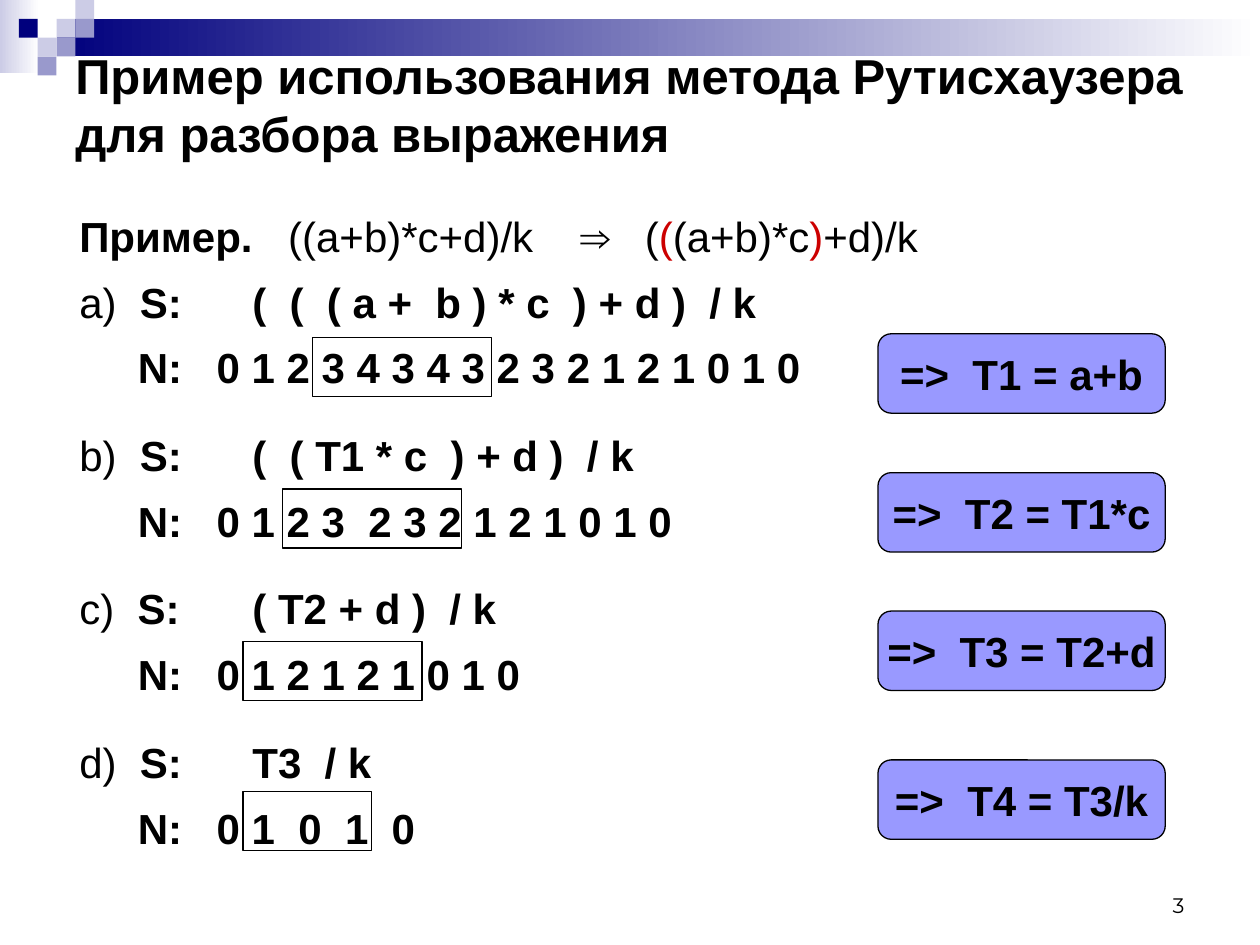
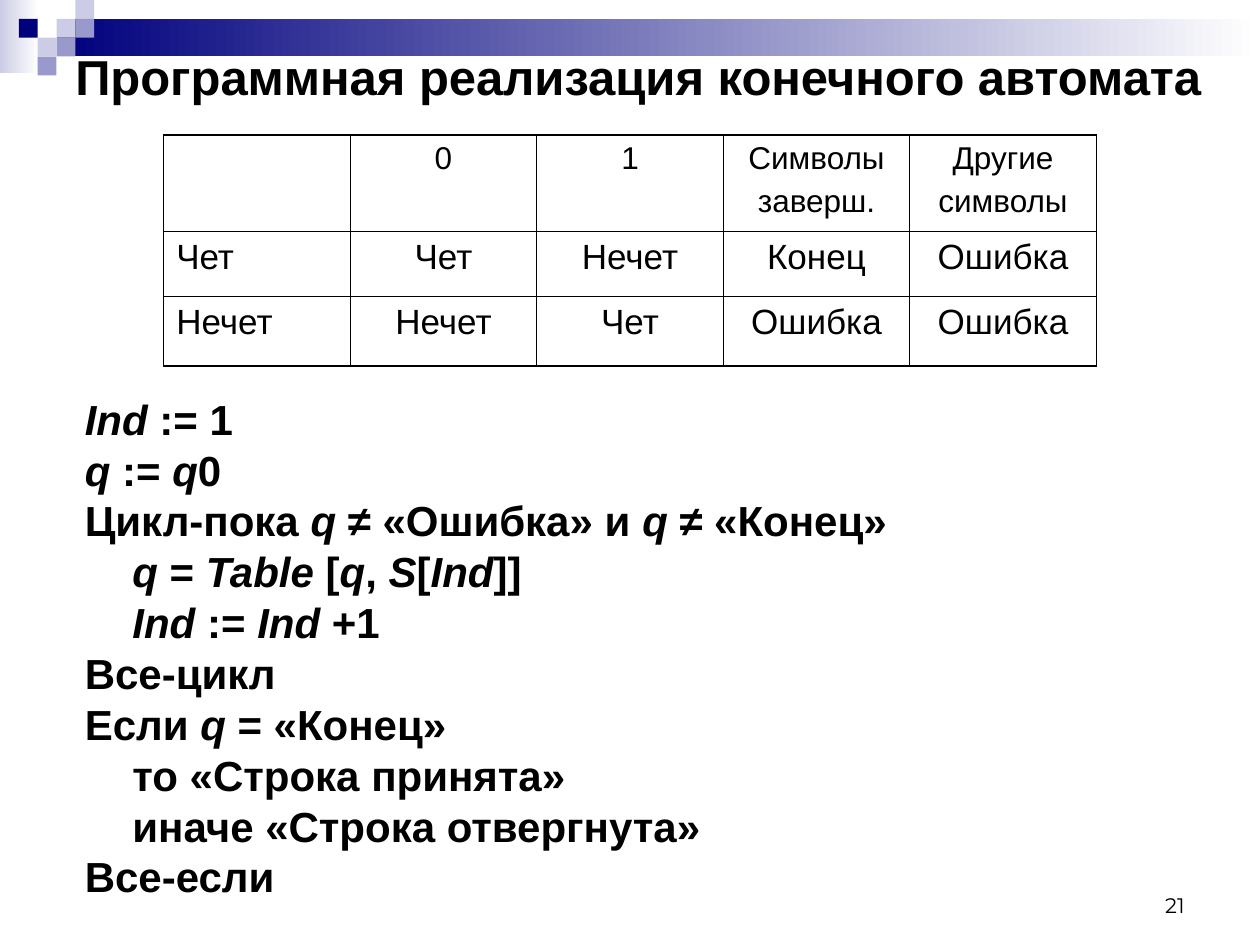
from lxml.etree import SubElement
from pptx import Presentation
from pptx.dml.color import RGBColor
from pptx.enum.shapes import MSO_SHAPE
from pptx.enum.text import MSO_ANCHOR, PP_ALIGN
from pptx.oxml.ns import qn
from pptx.util import Cm, Pt

BLACK = RGBColor(0x00, 0x00, 0x00)
WHITE = RGBColor(0xFF, 0xFF, 0xFF)
RED = RGBColor(0xCC, 0x00, 0x00)
NAVY = RGBColor(0x00, 0x00, 0x7D)
LAVENDER = RGBColor(0xCC, 0xCC, 0xE6)
VIOLET = RGBColor(0x99, 0x99, 0xCC)
CALLOUT = RGBColor(0x99, 0x99, 0xFF)

MOSAIC_STEP = 0.38
MOSAIC = [(3, 1, LAVENDER), (4, 0, LAVENDER), (4, 1, VIOLET), (2, 2, LAVENDER),
          (1, 1, NAVY), (3, 2, VIOLET), (2, 3, VIOLET)]  # column, row, colour

EXAMPLE_TABS = (4.21, 10.1, 11.4)
SYMBOLS_LEFT = 3.49
LEVELS_LABEL_LEFT, LEVELS_LEFT = 1.18, 2.77

# label, symbols, nesting levels, (left, top, width) of the frame, callout top, result
STEPS = [
    ("a)", "(  (  ( a +  b ) * c  ) + d )  / k", "0 1 2 3 4 3 4 3 2 3 2 1 2 1 0 1 0",
     (6.3, 6.81, 3.61), 6.73, "T1 = a+b"),
    ("b)", "(  ( T1 * c  ) + d )  / k", "0 1 2 3  2 3 2 1 2 1 0 1 0",
     (5.69, 9.86, 3.61), 9.53, "T2 = T1*c"),
    ("c)", "( T2 + d )  / k", "0 1 2 1 2 1 0 1 0",
     (4.9, 12.93, 3.61), 12.32, "T3 = T2+d"),
    ("d)", "T3  / k", "0 1  0  1  0",
     (4.9, 15.95, 2.59), 15.32, "T4 = T3/k"),
]

TRANSITIONS = [
    ["", "0", "1", "Символы\nзаверш.", "Другие\nсимволы"],
    ["Чет", "Чет", "Нечет", "Конец", "Ошибка"],
    ["Нечет", "Нечет", "Чет", "Ошибка", "Ошибка"],
]

# indent level, text with the italic parts between underscores
ALGORITHM = [
    (0, "_Ind_ := 1"),
    (0, "_q_ := _q_0"),
    (0, "Цикл-пока _q _≠ «Ошибка» и _q _≠ «Конец»"),
    (1, "_q_ = _Table_ [_q_, _S_[_Ind_]]"),
    (1, "_Ind_ := _Ind_ +1"),
    (0, "Все-цикл"),
    (0, "Если _q_ = «Конец»"),
    (1, "то «Строка принята»"),
    (1, "иначе «Строка отвергнута»"),
    (0, "Все-если"),
]


class Deck:
    """Holds the shared style and the slide being filled."""

    def __init__(self):
        self.presentation = Presentation()
        self.presentation.slide_width = Cm(25.4)
        self.presentation.slide_height = Cm(19.05)
        self.slide = None

    def new_slide(self, title, title_box, number):
        self.slide = self.presentation.slides.add_slide(self.presentation.slide_layouts[6])
        self.gradient(0, 0, 0.79, 1.47, LAVENDER)
        self.gradient(3 * MOSAIC_STEP, MOSAIC_STEP, 24.26, 2 * MOSAIC_STEP, NAVY)
        for column, row, color in MOSAIC:
            self.shape(column * MOSAIC_STEP, row * MOSAIC_STEP, MOSAIC_STEP, MOSAIC_STEP, color)

        footer = self.text_frame(18.21, 17.35, 5.92, 1.27, MSO_ANCHOR.BOTTOM)
        self.run(self.paragraph(footer, align=PP_ALIGN.RIGHT), number, size=12, bold=False,
                 font="Montserrat")
        heading = self.text_frame(*title_box, MSO_ANCHOR.MIDDLE)
        self.run(self.paragraph(heading), title, size=28)

    def shape(self, left, top, width, height, fill=None, line=None, kind=MSO_SHAPE.RECTANGLE):
        shape = self.slide.shapes.add_shape(kind, Cm(left), Cm(top), Cm(width), Cm(height))
        shape.shadow.inherit = False
        if fill is None:
            shape.fill.background()
        else:
            shape.fill.solid()
            shape.fill.fore_color.rgb = fill
        if line is None:
            shape.line.fill.background()
        else:
            shape.line.color.rgb = line
            shape.line.width = Pt(0.75)
        return shape

    def gradient(self, left, top, width, height, start):
        fill = self.shape(left, top, width, height).fill
        fill.gradient()
        fill.gradient_angle = 0
        for stop, color in zip(fill.gradient_stops, (start, WHITE)):
            stop.color.rgb = color

    def callout(self, left, top, text):
        box = self.shape(left, top, 5.79, 1.6, CALLOUT, BLACK, MSO_SHAPE.ROUNDED_RECTANGLE)
        frame = box.text_frame
        frame.word_wrap = False
        frame.vertical_anchor = MSO_ANCHOR.MIDDLE
        self.run(self.paragraph(frame, before=6, align=PP_ALIGN.CENTER), text)

    def text_frame(self, left, top, width, height, anchor=MSO_ANCHOR.TOP):
        frame = self.slide.shapes.add_textbox(Cm(left), Cm(top), Cm(width), Cm(height)).text_frame
        frame.word_wrap = True
        frame.vertical_anchor = anchor
        return frame

    def paragraph(self, frame, before=0, spacing=1.0, align=PP_ALIGN.LEFT,
                  first_left=0, left=0, tabs=()):
        """Return the still empty first paragraph, or a new one.

        Without tab stops, a tab in the first line leads to the left margin.
        """
        first = frame.paragraphs[0]
        paragraph = first if not first.runs else frame.add_paragraph()
        paragraph.space_before = Pt(before)
        paragraph.line_spacing = spacing
        paragraph.alignment = align
        properties = paragraph._p.get_or_add_pPr()
        if tabs:
            stops = SubElement(properties, qn("a:tabLst"))
            for position in tabs:
                SubElement(stops, qn("a:tab"), pos=str(Cm(position)), algn="l")
        else:
            properties.set("marL", str(Cm(left)))
            properties.set("indent", str(Cm(first_left - left)))
        return paragraph

    def run(self, paragraph, text, size=24, bold=True, italic=False, color=BLACK, font="Arial"):
        run = paragraph.add_run()
        run.text = text
        run.font.name = font
        run.font.size = Pt(size)
        run.font.bold = bold
        run.font.italic = italic
        run.font.color.rgb = color

    def table(self, left, top, column_width, row_heights, rows):
        columns = len(rows[0])
        table = self.slide.shapes.add_table(
            len(rows), columns, Cm(left), Cm(top),
            Cm(column_width * columns), Cm(sum(row_heights))).table
        table.first_row = table.horz_banding = False
        for column in table.columns:
            column.width = Cm(column_width)
        for r, (height, texts) in enumerate(zip(row_heights, rows)):
            table.rows[r].height = Cm(height)
            size = 18 if r == 0 else 20
            for c, text in enumerate(texts):
                cell = table.cell(r, c)
                self.borders(cell, L=False, R=False, T=r == 0, B=r == len(rows) - 1)
                cell.fill.background()
                align = PP_ALIGN.CENTER if c else PP_ALIGN.LEFT
                for line in text.split("\n") if text else ():
                    paragraph = self.paragraph(cell.text_frame, before=size / 4, align=align)
                    self.run(paragraph, line, size=size, bold=False)

    def borders(self, cell, **thick_sides):
        """Draw each side, thicker where its value is true."""
        properties = cell._tc.get_or_add_tcPr()
        for side, is_thick in thick_sides.items():
            width = Pt(1.08 if is_thick else 0.45)
            line = SubElement(properties, qn(f"a:ln{side}"), w=str(width))
            fill = SubElement(line, qn("a:solidFill"))
            SubElement(fill, qn("a:srgbClr"), val=str(BLACK))


def add_parsing_slide(deck):
    deck.new_slide("Пример использования метода Рутисхаузера для разбора выражения",
                   (1.27, 1.27, 22.86, 1.65), "3")
    body = deck.text_frame(1.35, 4.01, 22.86, 13.87)
    example = deck.paragraph(body, 6, 1.1, tabs=EXAMPLE_TABS)
    deck.run(example, "Пример.")
    for text, color in [("\t((a+b)*c+d)/k\t⇒\t(", BLACK), ("(", RED), ("(a+b)*c", BLACK),
                        (")", RED), ("+d)/k", BLACK)]:
        deck.run(example, text, bold=False, color=color)

    for index, (label, symbols, levels, frame, callout_top, result) in enumerate(STEPS):
        symbol_line = deck.paragraph(body, 18.3 if index else 6, 1.1, left=SYMBOLS_LEFT)
        deck.run(symbol_line, label, bold=False)
        deck.run(symbol_line, f"  S:\t{symbols}")
        level_line = deck.paragraph(body, 6, 1.1, first_left=LEVELS_LABEL_LEFT, left=LEVELS_LEFT)
        deck.run(level_line, f"N:\t{levels}")
        deck.shape(*frame, 1.19, line=BLACK)
        deck.callout(17.7, callout_top, f"=>  {result}")


def add_automaton_slide(deck):
    deck.new_slide("Программная реализация конечного автомата",
                   (1.27, 0.73, 24.13, 1.6), "21")
    body = deck.text_frame(1.46, 8, 22.86, 10.31)
    for level, text in ALGORITHM:
        margin = 0.96 * level
        paragraph = deck.paragraph(body, 6, 0.8, first_left=margin, left=margin)
        for position, part in enumerate(text.split("_")):
            if part:
                deck.run(paragraph, part, italic=position % 2 == 1)
    deck.table(3.3, 2.72, 3.76, (1.95, 1.31, 1.4), TRANSITIONS)


def main():
    deck = Deck()
    add_parsing_slide(deck)
    add_automaton_slide(deck)
    deck.presentation.save("out.pptx")


if __name__ == "__main__":
    main()
